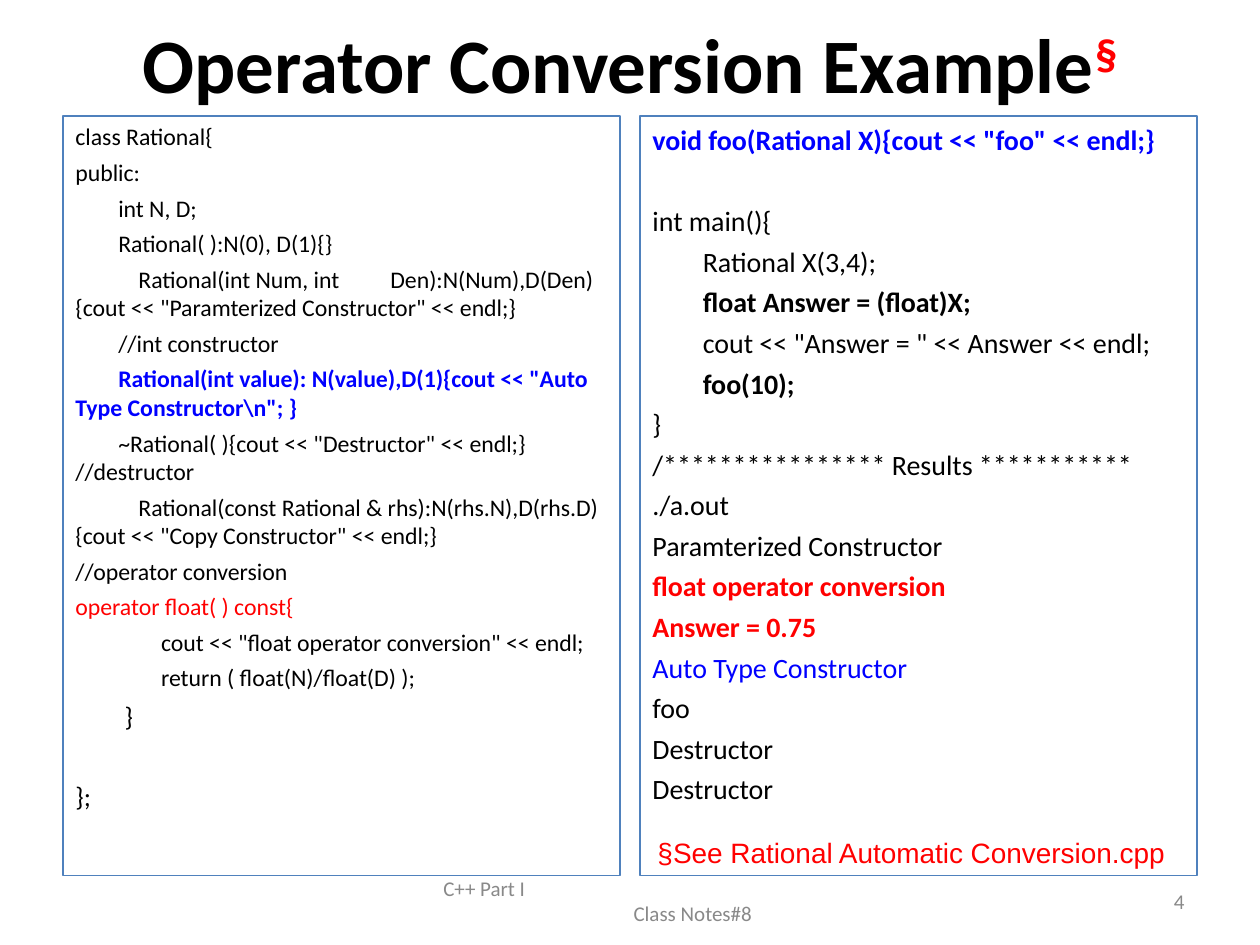
from lxml import etree
from pptx import Presentation
from pptx.dml.color import RGBColor
from pptx.enum import shapes, text
from pptx.oxml.ns import qn
from pptx.util import Inches, Pt

COLORS = {
    "black": "000000",
    "blue": "0000FF",
    "red": "FF0000",
    "grey": "898989",
    "border": "4F81BD",
}
BLUE_BOLD = {"color": "blue", "bold": True}
RED_BOLD = {"color": "red", "bold": True}

# First-line indents in inches
LEFT_INDENT, LEFT_TAB, LEFT_DEEP = 0.34, 0.5, 0.68
RIGHT_INDENT = 0.4
LARGE = {"size": 15.3, "before": 4.5}

CLASS_CODE = [
    ("class Rational{", {}),
    ("public:", {}),
    ("int N, D;", {"indent": LEFT_INDENT}),
    ("Rational( ):N(0), D(1){}", {"indent": LEFT_INDENT}),
    ('Rational(int Num, int \tDen):N(Num),D(Den){cout << "Paramterized Constructor" << endl;}',
     {"indent": LEFT_TAB, "tab": 2.5}),
    ("//int constructor", {"indent": LEFT_INDENT}),
    ('Rational(int value): N(value),D(1){cout << "Auto Type Constructor\\n"; }',
     {"indent": LEFT_INDENT, **BLUE_BOLD}),
    ('~Rational( ){cout << "Destructor" << endl;} //destructor', {"indent": LEFT_INDENT}),
    ('Rational(const Rational & rhs):N(rhs.N),D(rhs.D){cout << "Copy Constructor" << endl;}',
     {"indent": LEFT_TAB}),
    ("//operator conversion", {}),
    ("operator float( ) const{", {"color": "red"}),
    ('cout << "float operator conversion" << endl;', {"indent": LEFT_DEEP}),
    ("return ( float(N)/float(D) );", {"indent": LEFT_DEEP}),
    ("}", {"indent": 0.39, **LARGE}),
    ("};", {**LARGE, "before": 27.5}),
]

MAIN_CODE = [
    ('void foo(Rational X){cout << "foo" << endl;}', BLUE_BOLD),
    ("int main(){", {"before": 27.5}),
    ("Rational X(3,4);", {"indent": RIGHT_INDENT}),
    ("float Answer = (float)X;", {"indent": RIGHT_INDENT, "bold": True}),
    ('cout << "Answer = " << Answer << endl;', {"indent": RIGHT_INDENT}),
    ("foo(10);", {"indent": RIGHT_INDENT, "bold": True}),
    ("}", {}),
    ("/**************** Results ***********", {}),
    ("./a.out", {}),
    ("Paramterized Constructor", {}),
    ("float operator conversion", RED_BOLD),
    ("Answer = 0.75", RED_BOLD),
    ("Auto Type Constructor", {"color": "blue"}),
    ("foo", {}),
    ("Destructor", {}),
    ("Destructor", {}),
]


def rgb(name):
    return RGBColor.from_string(COLORS[name])


def add_run(p, content, size, color="black", bold=False, font="Calibri"):
    r = p.add_run()
    r.text = content
    r.font.name = font
    r.font.size = Pt(size)
    r.font.bold = bold
    r.font.color.rgb = rgb(color)
    return r


def add_paragraph(tf, content, align="LEFT", before=0, indent=0, tab=None, **run_format):
    """Fill the first paragraph if it is still empty, otherwise append one."""
    p = tf.paragraphs[-1]
    if p.runs:
        p = tf.add_paragraph()
    p.alignment = text.PP_ALIGN[align]
    p.space_before = Pt(before)
    p_pr = p._p.get_or_add_pPr()
    p_pr.set("indent", str(Inches(indent)))
    if tab:
        tabs = etree.SubElement(p_pr, qn("a:tabLst"))
        etree.SubElement(tabs, qn("a:tab"), pos=str(Inches(tab)), algn="l")
    add_run(p, content, **run_format)


def add_title(slide):
    title = slide.shapes.title
    title.left, title.top = Inches(0.5), Inches(0.06)
    title.width, title.height = Inches(9), Inches(0.87)
    tf = title.text_frame
    tf.auto_size = text.MSO_AUTO_SIZE.NONE
    tf.vertical_anchor = text.MSO_ANCHOR.MIDDLE
    add_paragraph(tf, "Operator Conversion Example", align="CENTER", size=44, bold=True)
    mark = add_run(tf.paragraphs[0], "§", 44, "red", bold=True)
    mark._r.get_or_add_rPr().set("baseline", "30000")


def add_code_panel(slide, left, lines, size):
    sp = slide.shapes.add_shape(shapes.MSO_SHAPE.RECTANGLE, Inches(left), Inches(0.92),
                                Inches(4.42), Inches(6.03))
    sp.shadow.inherit = False
    sp.fill.background()
    sp.line.color.rgb = rgb("border")
    sp.line.width = Pt(0.75)
    tf = sp.text_frame
    tf.word_wrap = True
    tf.vertical_anchor = text.MSO_ANCHOR.TOP
    for content, overrides in lines:
        add_paragraph(tf, content, **{"size": size, "before": 4, **overrides})


def add_label(slide, left, top, width, height, lines, anchor="MIDDLE", wrap=True, **fmt):
    box = slide.shapes.add_textbox(Inches(left), Inches(top), Inches(width), Inches(height))
    tf = box.text_frame
    tf.word_wrap = wrap
    tf.vertical_anchor = text.MSO_ANCHOR[anchor]
    for content, indent in lines:
        add_paragraph(tf, content, indent=indent, **fmt)


def main():
    prs = Presentation()
    prs.slide_width, prs.slide_height = Inches(10), Inches(7.5)
    slide = prs.slides.add_slide(prs.slide_layouts[5])

    add_title(slide)
    add_code_panel(slide, 0.5, CLASS_CODE, 13.6)
    add_code_panel(slide, 5.08, MAIN_CODE, 16)

    footer = {"size": 12, "color": "grey"}
    add_label(slide, 3.42, 6.95, 3.17, 0.4,
              [("C++ Part I", 0), ("Class Notes#8", 1.51)], **footer)
    add_label(slide, 7.17, 6.95, 2.33, 0.4, [("4", 0)], align="RIGHT", **footer)
    add_label(slide, 5.12, 6.58, 4.24, 0.37, [("§See Rational Automatic Conversion.cpp", 0)],
              anchor="TOP", wrap=False, size=16, color="red", font="Arial")

    prs.save("out.pptx")


if __name__ == "__main__":
    main()
